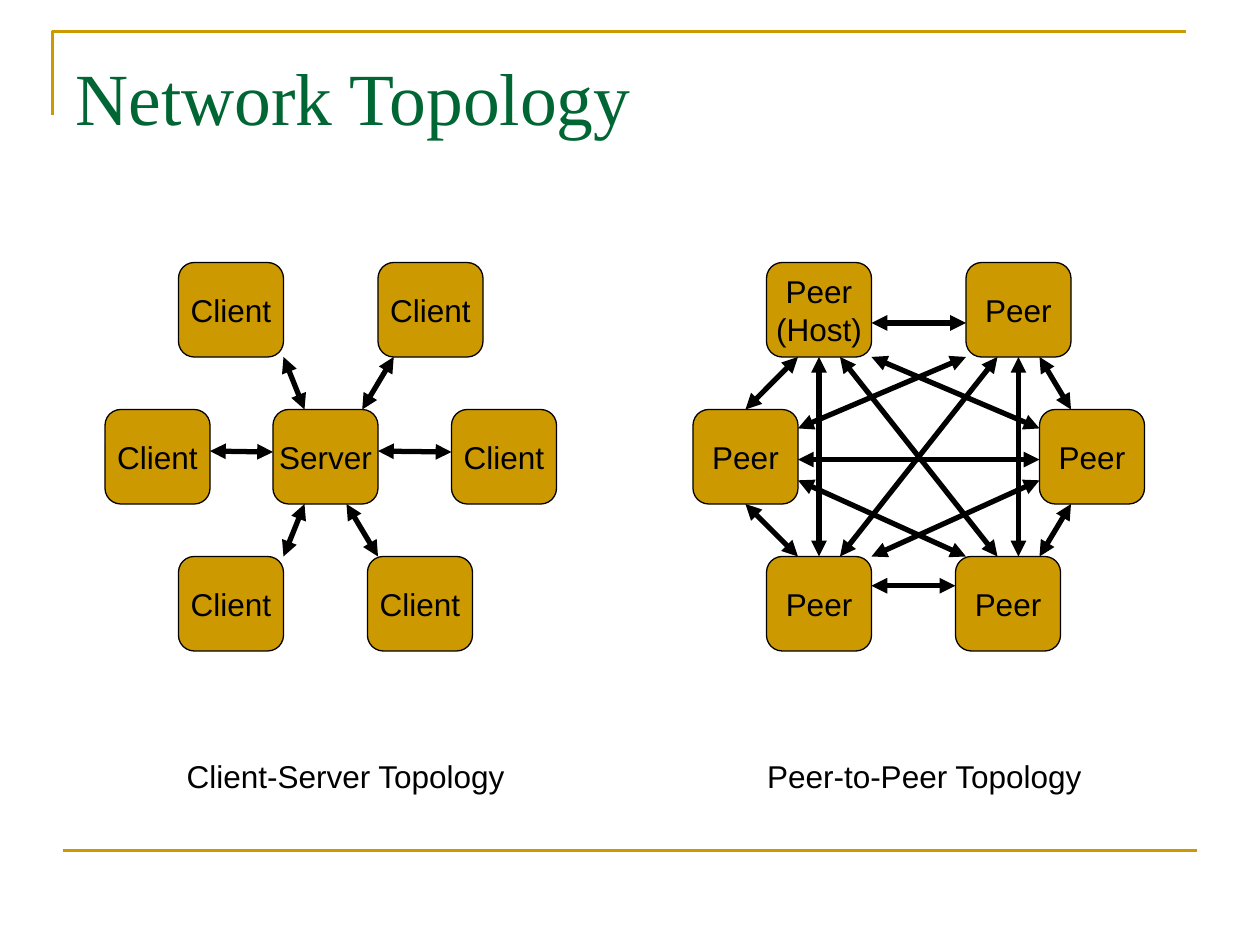
from lxml import etree
from pptx import Presentation
from pptx.dml.color import RGBColor
from pptx.enum.shapes import MSO_CONNECTOR, MSO_SHAPE
from pptx.enum.text import MSO_ANCHOR, MSO_AUTO_SIZE, PP_ALIGN
from pptx.oxml.ns import qn
from pptx.util import Pt

STRAIGHT = MSO_CONNECTOR.STRAIGHT
ROUNDED = MSO_SHAPE.ROUNDED_RECTANGLE
CENTER, LEFT = PP_ALIGN.CENTER, PP_ALIGN.LEFT
TOP, MIDDLE = MSO_ANCHOR.TOP, MSO_ANCHOR.MIDDLE

THEME = {
    "gold": RGBColor(0xCC, 0x99, 0x00),
    "green": RGBColor(0x00, 0x66, 0x33),
    "black": RGBColor(0, 0, 0),
    "title_font": "Times New Roman", "title_size": 42,
    "body_font": "Arial", "body_size": 18,
    "rule": 1.5, "outline": 0.75, "arrow": 3,
}

TITLE = "Network Topology"

# Left and top of each node, with left measured from its diagram's left edge.
NODE_WIDTH, NODE_HEIGHT = 60, 54
ROWS = {"top": 150, "middle": 234, "bottom": 318}
PLACES = {
    "server": (96, ROWS["middle"]),
    "top left": (42, ROWS["top"]), "top right": (156, ROWS["top"]),
    "left": (0, ROWS["middle"]), "right": (198, ROWS["middle"]),
    "bottom left": (42, ROWS["bottom"]), "bottom right": (150, ROWS["bottom"]),
}
RING = [place for place in PLACES if place != "server"]

# A link joins two nodes, each at a fraction of the node's width and height.
DIAGRAMS = [
    {
        "left": 60,
        "caption": ("Client-Server Topology", 98.5, 198),
        "nodes": {"server": "Server"} | {place: "Client" for place in RING},
        "links": [
            ("bottom left", 1, 0, "server", 0.3, 1),
            ("server", 0.85, 0, "top right", 0.15, 1),
            ("left", 1, 0.44, "server", 0, 0.45),
            ("server", 1, 0.44, "right", 0, 0.45),
            ("server", 0.7, 1, "bottom right", 0.1, 0),
            ("top left", 1, 1, "server", 0.3, 0),
        ],
    },
    {
        "left": 396,
        "caption": ("Peer-to-Peer Topology", 430, 196.5),
        "nodes": {place: "Peer" for place in RING} | {"top left": "Peer\n(Host)"},
        "links": [
            ("left", 1, 0.53, "right", 0, 0.53),
            ("bottom left", 0.7, 0, "top right", 0.3, 1),
            ("left", 0.5, 1, "bottom left", 0.3, 0),
            ("top left", 0.3, 1, "left", 0.5, 0),
            ("top left", 1, 0.64, "top right", 0, 0.64),
            ("bottom left", 1, 0.31, "bottom right", 0, 0.31),
            ("bottom right", 0.8, 0, "right", 0.3, 1),
            ("right", 0.3, 0, "top right", 0.7, 1),
            ("left", 1, 0.2, "top right", 0, 1),
            ("left", 1, 0.75, "bottom right", 0.1, 0),
            ("bottom left", 1, 0, "right", 0, 0.75),
            ("right", 0, 0.2, "top left", 1, 1),
            ("top left", 0.5, 1, "bottom left", 0.5, 0),
            ("bottom right", 0.6, 0, "top right", 0.5, 1),
            ("top left", 0.7, 1, "bottom right", 0.4, 0),
        ],
    },
]


def write(shape, text, align=CENTER, anchor=MIDDLE, wrap=False, kind="body", color="black"):
    frame = shape.text_frame
    frame.text = text
    frame.word_wrap = wrap
    frame.vertical_anchor = anchor
    for para in frame.paragraphs:
        para.alignment = align
        for span in para.runs:
            span.font.name = THEME[kind + "_font"]
            span.font.size = Pt(THEME[kind + "_size"])
            span.font.color.rgb = THEME[color]


def add_line(shapes, start, end, color, width, arrows=False):
    line = shapes.add_connector(STRAIGHT, *(Pt(value) for value in start + end))
    line.line.color.rgb = THEME[color]
    line.line.width = Pt(THEME[width])
    if arrows:
        outline = line.line._get_or_add_ln()
        for tag in ("a:headEnd", "a:tailEnd"):
            etree.SubElement(outline, qn(tag), type="triangle")
    etree.SubElement(line._element.spPr, qn("a:effectLst"))


def add_frame(slide):
    """Draw the corner rule above the title and the rule at the foot."""
    builder = slide.shapes.build_freeform(Pt(30), Pt(66))
    builder.add_line_segments([(Pt(30), Pt(18)), (Pt(678), Pt(18))], close=False)
    corner = builder.convert_to_shape()
    corner.shadow.inherit = False
    corner.fill.background()
    corner.line.color.rgb = THEME["gold"]
    corner.line.width = Pt(THEME["rule"])
    add_line(slide.shapes, (36, 486), (684, 486), "gold", "rule")


def add_title(slide):
    title = slide.shapes.title
    title.left, title.top, title.width, title.height = Pt(36), Pt(21.6), Pt(648), Pt(90)
    write(title, TITLE, LEFT, TOP, True, "title", "green")
    title.text_frame.auto_size = MSO_AUTO_SIZE.NONE
    title.text_frame.margin_top = Pt(8)


def add_node(shapes, left, top, label):
    node = shapes.add_shape(ROUNDED, Pt(left), Pt(top), Pt(NODE_WIDTH), Pt(NODE_HEIGHT))
    node.shadow.inherit = False
    node.fill.solid()
    node.fill.fore_color.rgb = THEME["gold"]
    node.line.color.rgb = THEME["black"]
    node.line.width = Pt(THEME["outline"])
    write(node, label)


def add_diagram(slide, diagram):
    shapes = slide.shapes.add_group_shape().shapes

    def point(place, across, down):
        left, top = PLACES[place]
        return diagram["left"] + left + across * NODE_WIDTH, top + down * NODE_HEIGHT

    for place, label in diagram["nodes"].items():
        add_node(shapes, *point(place, 0, 0), label)
    for link in diagram["links"]:
        add_line(shapes, point(*link[:3]), point(*link[3:]), "black", "arrow", arrows=True)

    text, left, width = diagram["caption"]
    caption = slide.shapes.add_textbox(Pt(left), Pt(429), Pt(width), Pt(29))
    write(caption, text, anchor=TOP)
    caption.text_frame.auto_size = MSO_AUTO_SIZE.SHAPE_TO_FIT_TEXT


def main():
    deck = Presentation()
    deck.slide_width, deck.slide_height = Pt(720), Pt(540)
    slide = deck.slides.add_slide(deck.slide_layouts[5])
    add_frame(slide)
    add_title(slide)
    for diagram in DIAGRAMS:
        add_diagram(slide, diagram)
    deck.save("out.pptx")


if __name__ == "__main__":
    main()
